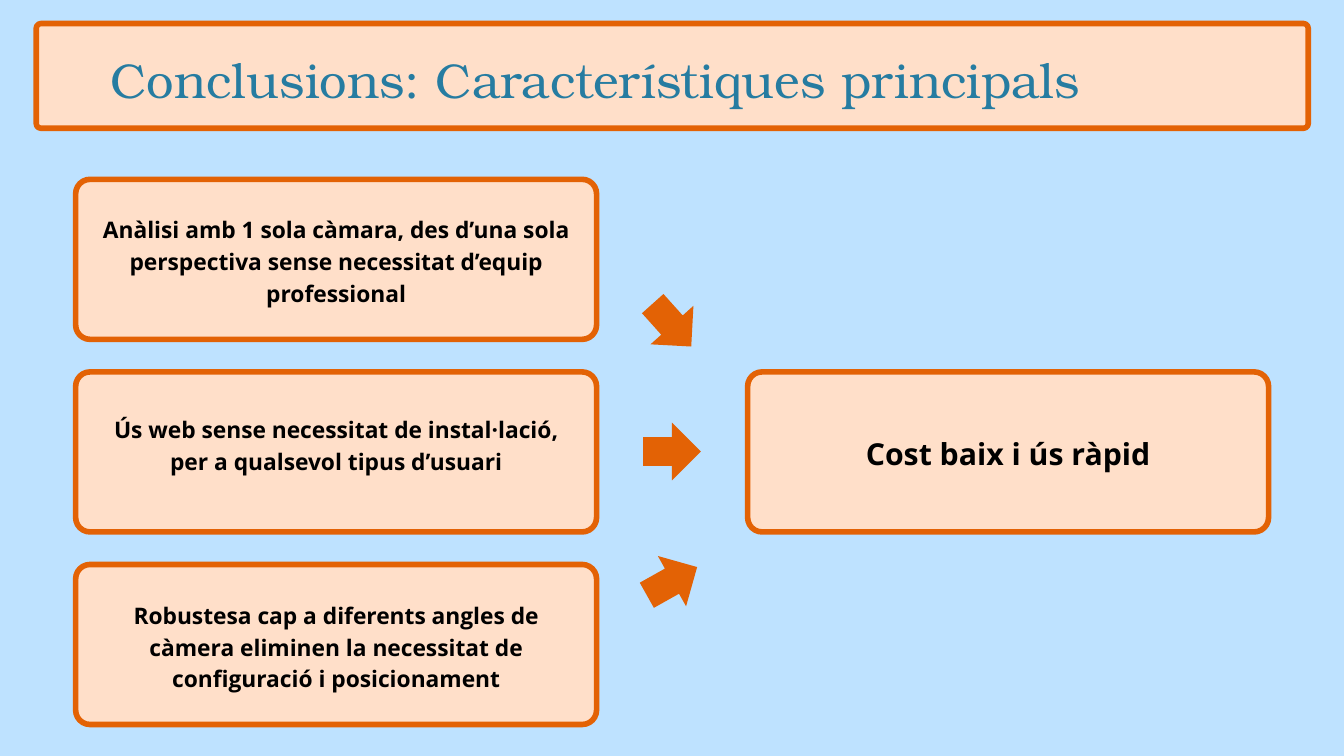
from pptx import Presentation, util as u
from pptx.dml.color import RGBColor
from pptx.enum import shapes, text


def colour(value):
    return RGBColor.from_string(value)


class ConclusionSlide:
    """Draws the elements of one slide in a shared style."""

    background, panel, accent = "BEE2FF", "FFDFC9", "E36205"
    formats = {
        "title": {"name": "TeX Gyre Bonum", "size": u.Pt(52.3), "bold": False},
        "reason": {"name": "Open Sans", "size": u.Pt(24.4), "bold": True},
        "result": {"name": "Open Sans", "size": u.Pt(32.4), "bold": True},
    }
    text_colours = {"title": "267CA1", "reason": "000000", "result": "000000"}
    spacings = {"title": 73.2, "reason": 34.2, "result": 45.4}

    def __init__(self, presentation):
        self.slide = presentation.slides.add_slide(presentation.slide_layouts[6])
        fill = self.slide.background.fill
        fill.solid()
        fill.fore_color.rgb = colour(self.background)

    def add_filled(self, kind, box, fill):
        shape = self.slide.shapes.add_shape(kind, *map(u.Cm, box))
        shape.shadow.inherit = False
        shape.fill.solid()
        shape.fill.fore_color.rgb = colour(fill)
        return shape

    def add_panel(self, box, radius):
        shape = self.add_filled(shapes.MSO_SHAPE.ROUNDED_RECTANGLE, box, self.panel)
        shape.adjustments[0] = radius
        shape.line.color.rgb = colour(self.accent)
        shape.line.width = u.Pt(6)

    def add_arrow(self, left, top, size, rotation):
        box = (left, top, size, size)
        shape = self.add_filled(shapes.MSO_SHAPE.RIGHT_ARROW, box, self.accent)
        shape.line.fill.background()
        shape.rotation = rotation

    def add_text(self, box, words, style, align=text.PP_ALIGN.CENTER):
        frame = self.slide.shapes.add_textbox(*map(u.Cm, box)).text_frame
        frame.word_wrap = True
        for side in ("left", "top", "right", "bottom"):
            setattr(frame, f"margin_{side}", 0)
        paragraph = frame.paragraphs[0]
        paragraph.text = words
        paragraph.alignment = align
        paragraph.line_spacing = u.Pt(self.spacings[style])
        for name, value in self.formats[style].items():
            setattr(paragraph.font, name, value)
        paragraph.font.color.rgb = colour(self.text_colours[style])

    def add_card(self, left, top, words, style, offset, height):
        self.add_panel((left, top, 19.69, 6.05), 0.09)
        self.add_text((left + 0.65, top + offset, 18.39, height), words, style)


def main():
    presentation = Presentation()
    presentation.slide_width = u.Cm(50.8)
    presentation.slide_height = u.Cm(28.58)
    slide = ConclusionSlide(presentation)

    slide.add_panel((1.37, 0.89, 48.08, 3.96), 0.045)
    slide.add_text((4.19, 1.5, 41.17, 2.46), "Conclusions: Característiques principals",
                   "title", text.PP_ALIGN.LEFT)

    first_top, pitch = 6.78, 7.28
    reasons = [
        ("Anàlisi amb 1 sola càmara, des d’una sola perspectiva sense necessitat "
         "d’equip professional", 1.22, 3.5),
        ("Ús web sense necessitat de instal·lació, per a qualsevol tipus d’usuari",
         1.48, 2.31),
        ("Robustesa cap a diferents angles de càmera eliminen la necessitat de "
         "configuració i posicionament", 1.22, 3.5),
    ]
    for row, (words, offset, height) in enumerate(reasons):
        slide.add_card(2.86, first_top + row * pitch, words, "reason", offset, height)
    slide.add_card(28.26, first_top + pitch, "Cost baix i ús ràpid", "result", 2.15, 1.55)

    for top, rotation in ((15.98, 0), (11.2, 48.1), (20.88, 330.7)):
        slide.add_arrow(24.31, top, 2.18, rotation)

    presentation.save("out.pptx")


if __name__ == "__main__":
    main()
